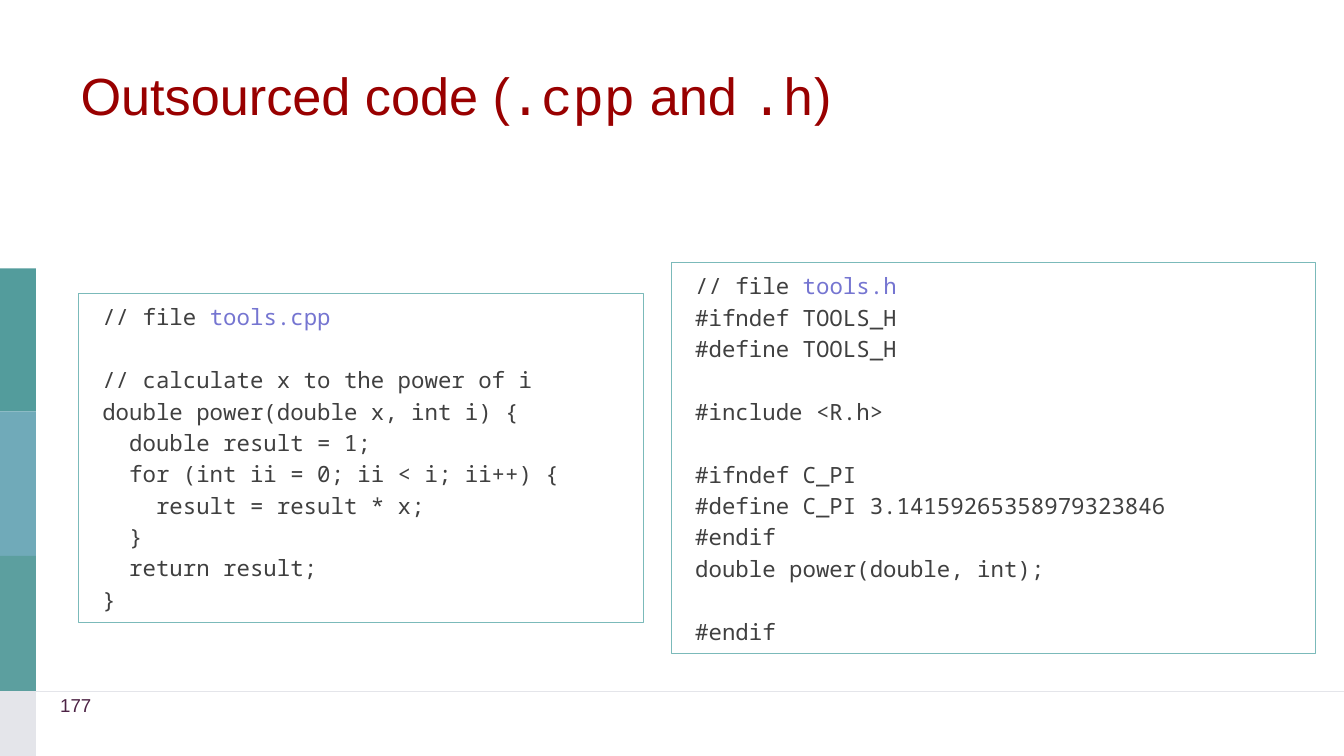
from lxml.etree import SubElement
from pptx import Presentation
from pptx.dml.color import RGBColor
from pptx.enum.shapes import MSO_CONNECTOR, MSO_SHAPE
from pptx.enum.text import MSO_ANCHOR, MSO_AUTO_SIZE, PP_ALIGN
from pptx.oxml.ns import qn
from pptx.util import Pt

DARK_RED = RGBColor(0x99, 0x00, 0x00)
PLUM = RGBColor(0x4D, 0x23, 0x45)
CODE_GREY = RGBColor(0x40, 0x40, 0x40)
FILE_BLUE = RGBColor(0x75, 0x75, 0xD1)
FRAME_TEAL = RGBColor(0x7B, 0xBA, 0xBA)
TEAL = RGBColor(0x53, 0x9C, 0x9C)
BLUE = RGBColor(0x70, 0xAA, 0xB9)
SOFT_TEAL = RGBColor(0x5C, 0x9F, 0x9F)
PALE = RGBColor(0xE4, 0xE5, 0xEA)

SANS, COURIER, MONO = "Arial", "Courier New", "Noto Sans Mono"
SLIDE_W, SLIDE_H = 720, 405
BAR_W, FOOTER_Y = 19.3, 370.6

CPP_CODE = """\
// calculate x to the power of i
double power(double x, int i) {
  double result = 1;
  for (int ii = 0; ii < i; ii++) {
    result = result * x;
  }
  return result;
}"""

HEADER_CODE = """\
#ifndef TOOLS_H
#define TOOLS_H

#include <R.h>

#ifndef C_PI
#define C_PI 3.14159265358979323846
#endif
double power(double, int);

#endif"""


def add_run(p, text, font, size, color):
    r = p.add_run()
    r.text = text
    r.font.name = font
    r.font.size = Pt(size)
    r.font.color.rgb = color


def add_side_bars(slide):
    """Stack the coloured bars down the left edge, each ending where the next starts."""
    tops = [143.8, 220.4, 297.8, FOOTER_Y, SLIDE_H]
    for top, bottom, color in zip(tops, tops[1:], [TEAL, BLUE, SOFT_TEAL, PALE]):
        sp = slide.shapes.add_shape(
            MSO_SHAPE.RECTANGLE, 0, Pt(top), Pt(BAR_W), Pt(bottom - top))
        sp.shadow.inherit = False
        sp.fill.solid()
        sp.fill.fore_color.rgb = color
        sp.line.fill.background()


def add_footer_rule(slide):
    line = slide.shapes.add_connector(
        MSO_CONNECTOR.STRAIGHT, 0, Pt(FOOTER_Y), Pt(SLIDE_W), Pt(FOOTER_Y))
    line.line.color.rgb = PALE
    line.line.width = Pt(0.5)
    SubElement(line._element.spPr, qn("a:effectLst"))


def add_title(slide):
    title = slide.shapes.title
    title.left, title.top = Pt(36), Pt(16.6)
    title.width, title.height = Pt(648), Pt(67.7)
    tf = title.text_frame
    tf.auto_size = MSO_AUTO_SIZE.NONE
    tf.vertical_anchor = MSO_ANCHOR.MIDDLE
    p = tf.paragraphs[0]
    p.alignment = PP_ALIGN.LEFT
    for text, font in [("Outsourced code (", SANS), (".cpp", COURIER),
                       (" and ", SANS), (".h", COURIER), (")", SANS)]:
        add_run(p, text, font, 28, DARK_RED)


def add_page_number(slide, number):
    box = slide.shapes.add_textbox(Pt(25.2), Pt(368), Pt(167.8), Pt(28))
    box.text_frame.word_wrap = True
    add_run(box.text_frame.paragraphs[0], number, SANS, 10, PLUM)


def add_code_box(slide, left, top, width, height, file_name, code):
    """Draw a framed listing headed by a comment that names the file."""
    sp = slide.shapes.add_shape(
        MSO_SHAPE.RECTANGLE, Pt(left), Pt(top), Pt(width), Pt(height))
    sp.shadow.inherit = False
    sp.fill.background()
    sp.line.color.rgb = FRAME_TEAL
    sp.line.width = Pt(0.75)
    tf = sp.text_frame
    tf.word_wrap = True
    tf.vertical_anchor = MSO_ANCHOR.TOP
    tf.margin_left = Pt(12.6)
    tf.margin_top = Pt(3)
    p = tf.paragraphs[0]
    add_run(p, "// file ", MONO, 12, CODE_GREY)
    add_run(p, file_name, MONO, 12, FILE_BLUE)
    for text in code.split("\n"):
        p = tf.add_paragraph()
        if text:
            add_run(p, text, MONO, 12, CODE_GREY)
    for p in tf.paragraphs:
        p.alignment = PP_ALIGN.LEFT
        p.line_spacing = Pt(16.8)


def main():
    prs = Presentation()
    prs.slide_width, prs.slide_height = Pt(SLIDE_W), Pt(SLIDE_H)
    slide = prs.slides.add_slide(prs.slide_layouts[5])
    add_side_bars(slide)
    add_footer_rule(slide)
    add_title(slide)
    add_page_number(slide, "177")
    add_code_box(slide, 42.2, 157.2, 302.5, 176.4, "tools.cpp", "\n" + CPP_CODE)
    add_code_box(slide, 359.8, 140.6, 345, 209.5, "tools.h", HEADER_CODE)
    prs.save("out.pptx")


if __name__ == "__main__":
    main()
